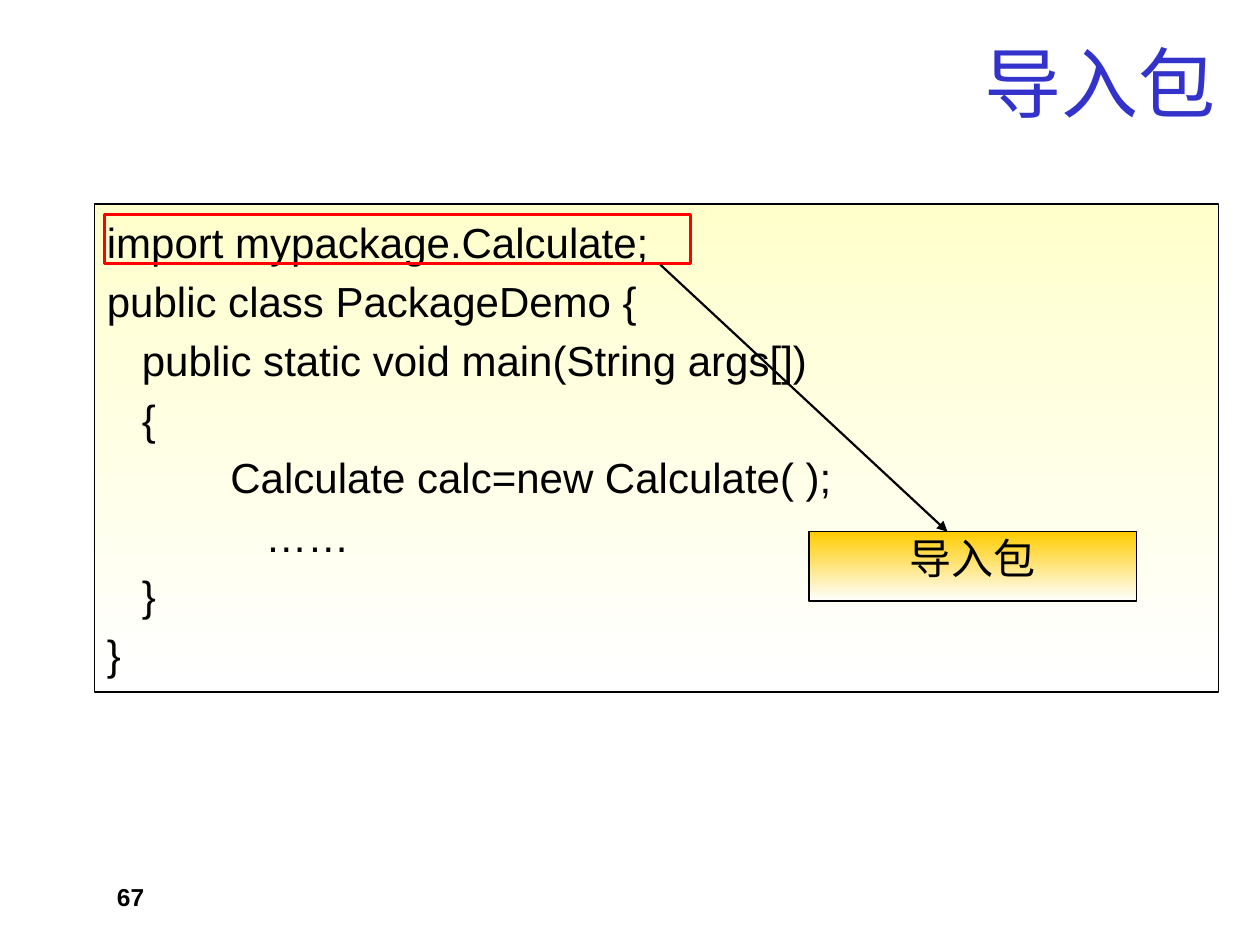
from pptx import Presentation
from pptx.dml.color import RGBColor
from pptx.enum.shapes import MSO_CONNECTOR, MSO_SHAPE
from pptx.enum.text import MSO_ANCHOR, PP_ALIGN
from pptx.oxml.ns import qn
from pptx.util import Inches, Pt
from lxml.etree import SubElement

COLORS = {"black": "000000", "title": "3333CC", "code": "FFFFCC",
          "callout": "FFCC00", "white": "FFFFFF", "highlight": "FF0000"}
CODE_LINES = [
    "import mypackage.Calculate;",
    "public class PackageDemo {",
    "   public static void main(String args[])",
    "   {",
    "   \tCalculate calc=new Calculate( );",
    "   \t   ……",
    "   }",
    "}",
]


def color(name):
    return RGBColor.from_string(COLORS[name])


def write(shape, lines, tint="black", tab=None, frame_format=None,
          paragraph_format=None, **font_format):
    """Fill a shape with one paragraph per line."""
    frame = shape.text_frame
    for name, value in {"word_wrap": True, **(frame_format or {})}.items():
        setattr(frame, name, value)
    for index, line in enumerate(lines):
        paragraph = frame.paragraphs[0] if index == 0 else frame.add_paragraph()
        for name, value in (paragraph_format or {}).items():
            if index or name != "space_before":
                setattr(paragraph, name, value)
        if tab:
            tabs = SubElement(paragraph._p.get_or_add_pPr(), qn("a:tabLst"))
            SubElement(tabs, qn("a:tab"), pos=str(tab), algn="l")
        run = paragraph.add_run()
        run.text = line
        for name, value in {"name": "Arial", **font_format}.items():
            setattr(run.font, name, value)
        run.font.color.rgb = color(tint)


def add_box(shapes, box, line, width, fill=None):
    """Outlined rectangle, empty or fading from its colour down to white."""
    shape = shapes.add_shape(MSO_SHAPE.RECTANGLE, *map(Inches, box))
    shape.shadow.inherit = False
    shape.line.color.rgb = color(line)
    shape.line.width = Pt(width)
    if fill:
        shape.fill.gradient()
        shape.fill.gradient_angle = 270
        for stop, name, position in zip(shape.fill.gradient_stops,
                                        (fill, "white"), (0, 1)):
            stop.color.rgb = color(name)
            stop.position = position
    else:
        shape.fill.background()
    return shape


def add_title(slide, box):
    write(slide.shapes.add_textbox(*map(Inches, box)), ["导入包"], "title",
          frame_format={"vertical_anchor": MSO_ANCHOR.MIDDLE},
          paragraph_format={"alignment": PP_ALIGN.RIGHT}, size=Pt(44))


def add_page_number(slide, box):
    write(slide.shapes.add_textbox(*map(Inches, box)), ["67"],
          frame_format={"margin_top": Inches(0.02), "margin_bottom": 0},
          size=Pt(14), bold=True)


def add_code(slide, box):
    left, top, _, _ = box
    panel = add_box(slide.shapes, box, "black", 1, "code")
    write(panel, CODE_LINES, tab=Inches(0.98),
          frame_format={"vertical_anchor": MSO_ANCHOR.TOP,
                        "margin_top": Inches(0.1)},
          paragraph_format={"alignment": PP_ALIGN.LEFT,
                            "space_before": Pt(4.8)}, size=Pt(24))
    # Frame around the import statement
    add_box(slide.shapes, (left + 0.08, top + 0.08, 4.65, 0.39),
            "highlight", 1.75)


def add_arrow(slide, start, end):
    arrow = slide.shapes.add_connector(MSO_CONNECTOR.STRAIGHT,
                                       *map(Inches, start + end))
    arrow.line.color.rgb = color("black")
    arrow.line.width = Pt(1.25)
    SubElement(arrow.line._get_or_add_ln(), qn("a:tailEnd"), type="triangle")
    SubElement(arrow._element.spPr, qn("a:effectLst"))


def add_callout(slide, box):
    left, top, width, _ = box
    group = slide.shapes.add_group_shape()
    add_box(group.shapes, box, "black", 0.75, "callout")
    label = group.shapes.add_textbox(
        *map(Inches, (left + 0.16, top, width - 0.32, 0.46)))
    write(label, ["导入包"],
          paragraph_format={"alignment": PP_ALIGN.CENTER, "line_spacing": 0.9},
          name="Courier New", size=Pt(24))


def main():
    presentation = Presentation()
    presentation.slide_width = Inches(10)
    presentation.slide_height = Inches(7.5)
    slide = presentation.slides.add_slide(presentation.slide_layouts[6])
    add_page_number(slide, (0.83, 6.98, 2.33, 0.24))
    add_title(slide, (0.75, 0.21, 9, 0.87))
    add_code(slide, (0.75, 1.62, 8.92, 3.87))
    add_arrow(slide, (5.24, 2.1), (7.52, 4.22))
    add_callout(slide, (6.42, 4.22, 2.6, 0.55))
    presentation.save("out.pptx")


if __name__ == "__main__":
    main()
